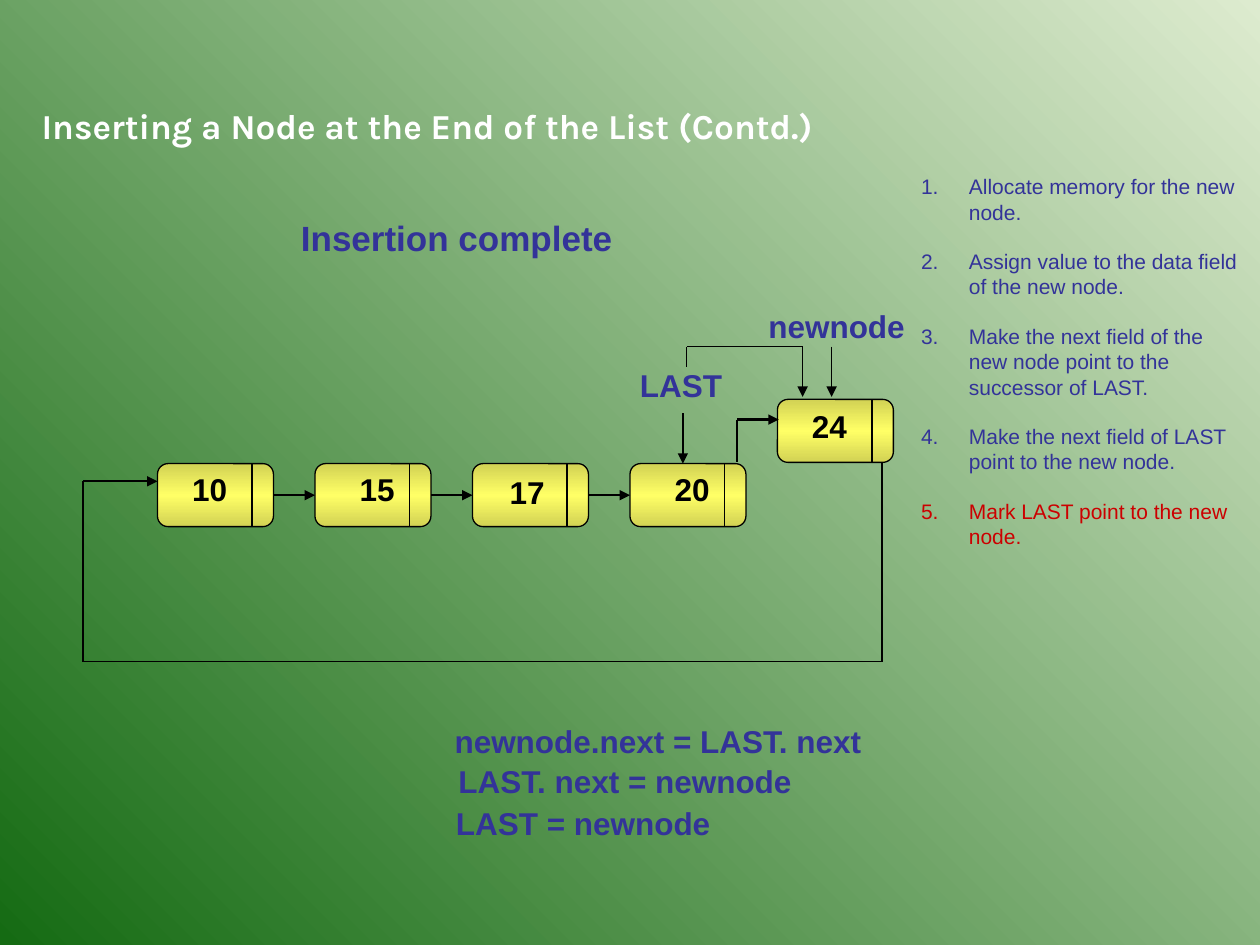
from copy import deepcopy

from lxml.etree import SubElement
from pptx import Presentation
from pptx.dml.color import RGBColor
from pptx.enum.shapes import MSO_CONNECTOR, MSO_SHAPE
from pptx.enum.text import MSO_ANCHOR, MSO_AUTO_SIZE, PP_ALIGN
from pptx.oxml.ns import qn
from pptx.util import Inches, Pt

INK, RED, BLACK, WHITE = "333399", "CC0000", "000000", "FFFFFF"


def write_text(shape, text, size=18, color=INK, bold=True, font="Arial",
               wrap=False, numbered=False, gap=0):
    frame = shape.text_frame
    frame.word_wrap = wrap
    frame.auto_size = MSO_AUTO_SIZE.NONE
    frame.vertical_anchor = MSO_ANCHOR.TOP
    first = not frame.text
    paragraph = frame.paragraphs[0] if first else frame.add_paragraph()
    paragraph.text = text
    paragraph.alignment = PP_ALIGN.LEFT
    paragraph.space_before = Pt(0 if first else gap)
    if numbered:
        properties = paragraph._p.get_or_add_pPr()
        properties.set("marL", str(Inches(0.38)))
        properties.set("indent", str(Inches(-0.38)))
        bullet_color = SubElement(properties, qn("a:buClr"))
        SubElement(bullet_color, qn("a:srgbClr")).set("val", color)
        SubElement(properties, qn("a:buFont")).set("typeface", "Arial")
        SubElement(properties, qn("a:buAutoNum")).set("type", "arabicPeriod")
    paragraph.font.size = Pt(size)
    paragraph.font.bold = bold
    paragraph.font.name = font
    paragraph.font.color.rgb = RGBColor.from_string(color)


def add_line(start, end, width=0.75, arrow=False):
    x1, y1, x2, y2 = (Inches(value) for value in (*start, *end))
    line = slide.shapes.add_connector(MSO_CONNECTOR.STRAIGHT, x1, y1, x2, y2)
    line.line.color.rgb = RGBColor.from_string(BLACK)
    line.line.width = Pt(width)
    if arrow:
        SubElement(line.line._get_or_add_ln(), qn("a:tailEnd")).set("type", "triangle")
    SubElement(line._element.spPr, qn("a:effectLst"))
    return line


presentation = Presentation()
presentation.slide_width = Inches(10)
presentation.slide_height = Inches(7.5)
slide = presentation.slides.add_slide(presentation.slide_layouts[1])

background = slide.background.fill
background.gradient()
background.gradient_angle = 225
for stop, color in zip(background.gradient_stops, ("DDEBCF", "156B13")):
    stop.color.rgb = RGBColor.from_string(color)

title, steps = slide.placeholders
title.left, title.top, title.width, title.height = map(Inches, (0.23, 0.78, 6.66, 0.44))
write_text(title, "Inserting a Node at the End of the List (Contd.)",
           size=20, color=WHITE, font="Karla")

steps.left, steps.top, steps.width, steps.height = map(Inches, (7.21, 1.33, 2.75, 3.1))
for text, color in (
    ("Allocate memory for the new node.", INK),
    ("Assign value to the data field of the new node.", INK),
    ("Make the next field of the new node point to the successor of LAST.", INK),
    ("Make the next field of LAST point to the new node.", INK),
    ("Mark LAST point to the new node.", RED),
):
    write_text(steps, text, size=12, color=color, bold=False, wrap=True,
               numbered=True, gap=14)

for text, left, top, width, height, size in (
    ("Insertion complete", 2.29, 1.67, 3.83, 0.44, 20),
    ("newnode", 6, 2.39, 1.28, 0.4, 18),
    ("LAST", 4.98, 2.86, 0.85, 0.4, 18),
    ("newnode.next = LAST. next", 3.51, 5.68, 3.46, 0.4, 18),
    ("LAST. next = newnode", 3.54, 6, 2.87, 0.4, 18),
    ("LAST = newnode", 3.52, 6.33, 2.22, 0.4, 18),
):
    label = slide.shapes.add_textbox(*map(Inches, (left, top, width, height)))
    write_text(label, text, size=size, wrap=size == 20)

row_left, row_top, pitch = 1.25, 3.68, 1.25
nodes = []
for value, left, top, inset_left, inset_top in (
    ("10", row_left, row_top, 0.25, 0.03),
    ("15", row_left + pitch, row_top, 0.33, 0.03),
    ("17", row_left + 2 * pitch, row_top, 0.27, 0.05),
    ("20", row_left + 3 * pitch, row_top, 0.33, 0.03),
    ("24", 6.17, 3.17, 0.25, 0.04),
):
    node = slide.shapes.add_shape(
        MSO_SHAPE.ROUNDED_RECTANGLE, *map(Inches, (left, top, 0.92, 0.5)))
    node.shadow.inherit = False
    node.line.color.rgb = RGBColor.from_string(BLACK)
    node.line.width = Pt(0.75)
    node.fill.gradient()
    node.fill.gradient_angle = 270
    stop_list = node._element.spPr.find(".//" + qn("a:gsLst"))
    stop_list.insert(1, deepcopy(stop_list[0]))
    for stop, color, position in zip(
            node.fill.gradient_stops, ("D2D254", "FFFF66", "D2D254"), (0, 0.5, 1)):
        stop.color.rgb = RGBColor.from_string(color)
        stop.position = position
    frame = node.text_frame
    frame.margin_left, frame.margin_top = Inches(inset_left), Inches(inset_top)
    frame.margin_right = frame.margin_bottom = 0
    write_text(node, value, color=BLACK, wrap=True)
    add_line((left + 0.75, top), (left + 0.75, top + 0.5))
    nodes.append(node)

for index in range(3):
    left = row_left + index * pitch
    link = add_line((left + 0.92, 3.93), (left + pitch, 3.93), width=1.25, arrow=True)
    link.begin_connect(nodes[index], 3)
    link.end_connect(nodes[index + 1], 1)

for start, end in (
    ((6.37, 2.75), (5.45, 2.75)),
    ((5.45, 2.75), (5.45, 2.91)),
    ((5.85, 3.33), (5.85, 3.67)),
    ((7, 3.67), (7, 5.25)),
    ((7, 5.25), (0.66, 5.25)),
    ((0.66, 5.25), (0.66, 3.82)),
):
    add_line(start, end)

for start, end, width in (
    ((6.37, 2.75), (6.37, 3.15), 0.75),
    ((6.6, 2.75), (6.6, 3.15), 0.75),
    ((5.42, 3.28), (5.42, 3.68), 0.75),
    ((5.85, 3.33), (6.18, 3.33), 1.25),
    ((0.66, 3.82), (1.25, 3.82), 1.25),
):
    add_line(start, end, width=width, arrow=True)

presentation.save("out.pptx")
